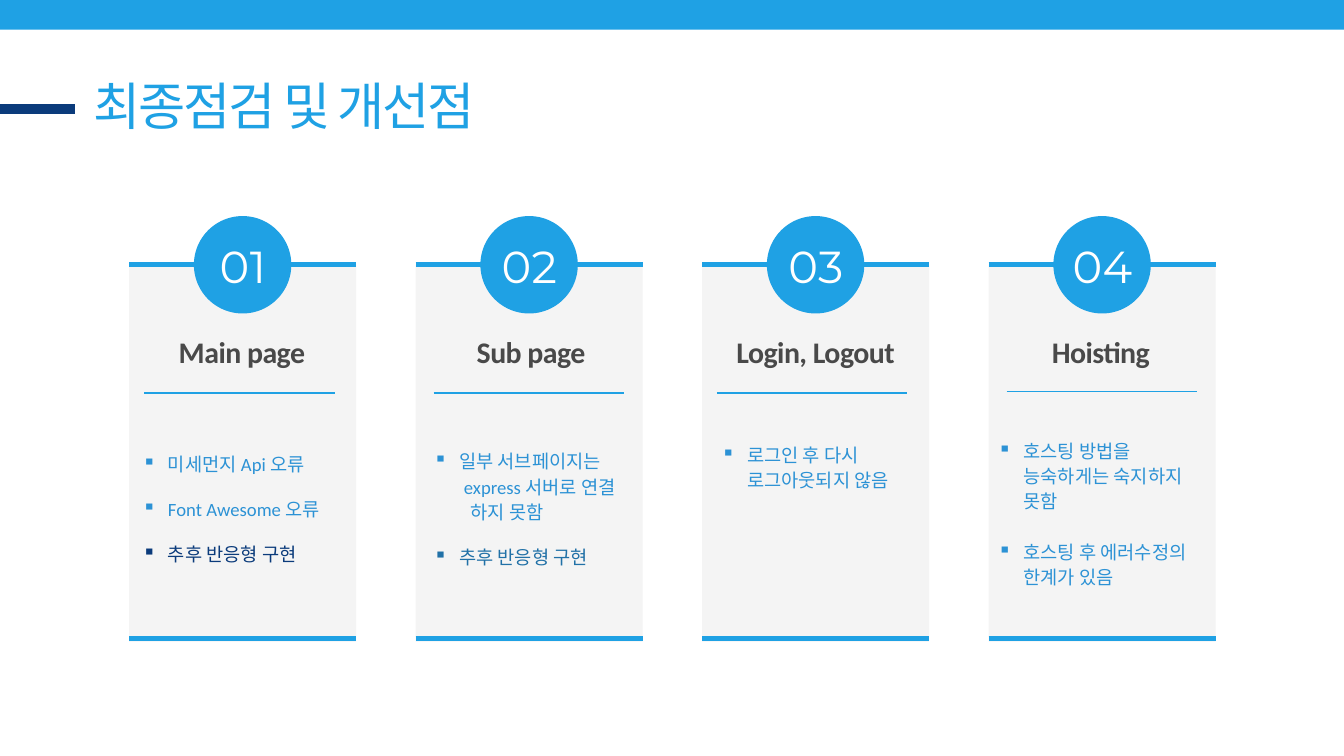
from dataclasses import dataclass

from lxml.etree import SubElement
from pptx import Presentation
from pptx.dml.color import RGBColor
from pptx.enum.shapes import MSO_CONNECTOR, MSO_SHAPE
from pptx.enum.text import PP_ALIGN
from pptx.oxml.ns import qn
from pptx.util import Inches, Pt


@dataclass(frozen=True)
class Theme:
    blue: str = "1FA1E4"
    navy: str = "0B3B7B"
    panel: str = "F4F4F4"
    heading: str = "494949"
    body: str = "2C92D5"
    accent: str = "2171A7"
    white: str = "FFFFFF"
    sans: str = "Calibri"
    display: str = "Montserrat"
    title_size: int = 55
    number_size: int = 48
    heading_size: int = 32
    body_size: int = 20


THEME = Theme()
LOOSE = 2.0
TIGHT = Pt(27)
HANG = 0.38


@dataclass
class Item:
    text: str
    color: str = THEME.body
    spacing: object = TIGHT
    bullet: bool = True
    indent: float = HANG
    before: int = 0


@dataclass
class Card:
    heading: str
    heading_shift: float
    rule: tuple
    body: tuple
    items: list


CARDS = [
    Card("Main page", -0.01, (0.23, 5.85), (0.2, 6.41, 3.17, 2.02), [
        Item("미세먼지 Api 오류", spacing=LOOSE),
        Item("Font Awesome 오류", spacing=LOOSE),
        Item("추후 반응형 구현", THEME.navy, LOOSE),
    ]),
    Card("Sub page", 0.03, (0.27, 5.85), (0.27, 6.66, 3.38, 2.17), [
        Item("일부 서브페이지는"),
        Item("express 서버로 연결", bullet=False, indent=0.45),
        Item("하지 못함", bullet=False, indent=0.55),
        Item("추후 반응형 구현", THEME.accent, LOOSE),
    ]),
    Card("Login, Logout", 0, (0.22, 5.85), (0.29, 6.56, 3.1, 0.76), [
        Item("로그인 후 다시 로그아웃되지 않음"),
    ]),
    Card("Hoisting", -0.02, (0.27, 5.83), (0.14, 6.5, 3.1, 2.27), [
        Item("호스팅 방법을 능숙하게는 숙지하지 못함"),
        Item("호스팅 후 에러수정의 한계가 있음", before=27),
    ]),
]


def add_filled(slide, kind, box, color):
    shape = slide.shapes.add_shape(kind, *map(Inches, box))
    shape.shadow.inherit = False
    shape.fill.solid()
    shape.fill.fore_color.rgb = RGBColor.from_string(color)
    shape.line.fill.background()


def add_rule(slide, left, right, y, color, width):
    rule = slide.shapes.add_connector(
        MSO_CONNECTOR.STRAIGHT, Inches(left), Inches(y), Inches(right), Inches(y))
    rule.line.color.rgb = RGBColor.from_string(color)
    rule.line.width = Pt(width)
    SubElement(rule._element.spPr, qn("a:effectLst"))


def add_frame(slide, box):
    frame = slide.shapes.add_textbox(*map(Inches, box)).text_frame
    margins = dict.fromkeys(
        ("margin_left", "margin_top", "margin_right", "margin_bottom"), 0)
    for name, value in {**margins, "word_wrap": True}.items():
        setattr(frame, name, value)
    return frame


def write(paragraph, text, color, size, spacing, family=THEME.sans,
          bold=False, tracking=0, align=PP_ALIGN.LEFT):
    paragraph.alignment = align
    paragraph.line_spacing = spacing
    run = paragraph.add_run()
    run.text = text
    for name, value in {"name": family, "size": Pt(size), "bold": bold}.items():
        setattr(run.font, name, value)
    run.font.color.rgb = RGBColor.from_string(color)
    if tracking:
        run.font._element.set("spc", str(round(tracking * 100)))


def add_header(slide, width):
    add_filled(slide, MSO_SHAPE.RECTANGLE, (0, 0, width, 0.44), THEME.blue)
    add_rule(slide, 0, 1.12, 1.62, THEME.navy, 11.25)
    title = add_frame(slide, (1.39, 1.11, 7.23, 0.93))
    write(title.paragraphs[0], "최종점검 및 개선점", THEME.blue,
          THEME.title_size, Pt(66), tracking=-2.2)


def add_items(slide, box, items):
    frame = add_frame(slide, box)
    for index, item in enumerate(items):
        paragraph = frame.add_paragraph() if index else frame.paragraphs[0]
        properties = paragraph._p.get_or_add_pPr()
        properties.set("marL", str(Inches(item.indent)))
        properties.set("indent", str(-Inches(HANG) if item.bullet else 0))
        if item.bullet:
            SubElement(properties, qn("a:buChar")).set("char", "▪")
        if item.before:
            paragraph.space_before = Pt(item.before)
        write(paragraph, item.text, item.color, THEME.body_size, item.spacing)


def add_card(slide, box, number, card):
    left, top, width, height = box
    center = left + width / 2
    add_filled(slide, MSO_SHAPE.RECTANGLE, box, THEME.panel)
    for y in (top, top + height - 0.05):
        add_rule(slide, left, left + width, y, THEME.blue, 5)

    diameter = 1.45
    add_filled(slide, MSO_SHAPE.OVAL,
               (center - diameter / 2, top - diameter / 2, diameter, diameter),
               THEME.blue)
    badge = add_frame(slide, (center - 0.78, top - 0.39, 1.57, 0.78))
    write(badge.paragraphs[0], f"{number:02}", THEME.white, THEME.number_size,
          Pt(57.6), THEME.display, tracking=0.5, align=PP_ALIGN.CENTER)

    heading = add_frame(slide, (left + card.heading_shift, top + 1, width, 0.54))
    write(heading.paragraphs[0], card.heading, THEME.heading, THEME.heading_size,
          Pt(40), bold=True, tracking=-0.6, align=PP_ALIGN.CENTER)

    inset, rule_y = card.rule
    add_rule(slide, left + inset, left + inset + 2.83, rule_y, THEME.blue, 1.5)
    body_inset, *body_rest = card.body
    add_items(slide, (left + body_inset, *body_rest), card.items)


def main():
    deck = Presentation()
    deck.slide_width, deck.slide_height = Inches(20), Inches(11.25)
    slide = deck.slides.add_slide(deck.slide_layouts[6])
    add_header(slide, 20)
    first, last = 1.92, 14.71
    pitch = (last - first) / (len(CARDS) - 1)
    for index, card in enumerate(CARDS):
        add_card(slide, (first + index * pitch, 3.94, 3.38, 5.61), index + 1, card)
    deck.save("out.pptx")


if __name__ == "__main__":
    main()
